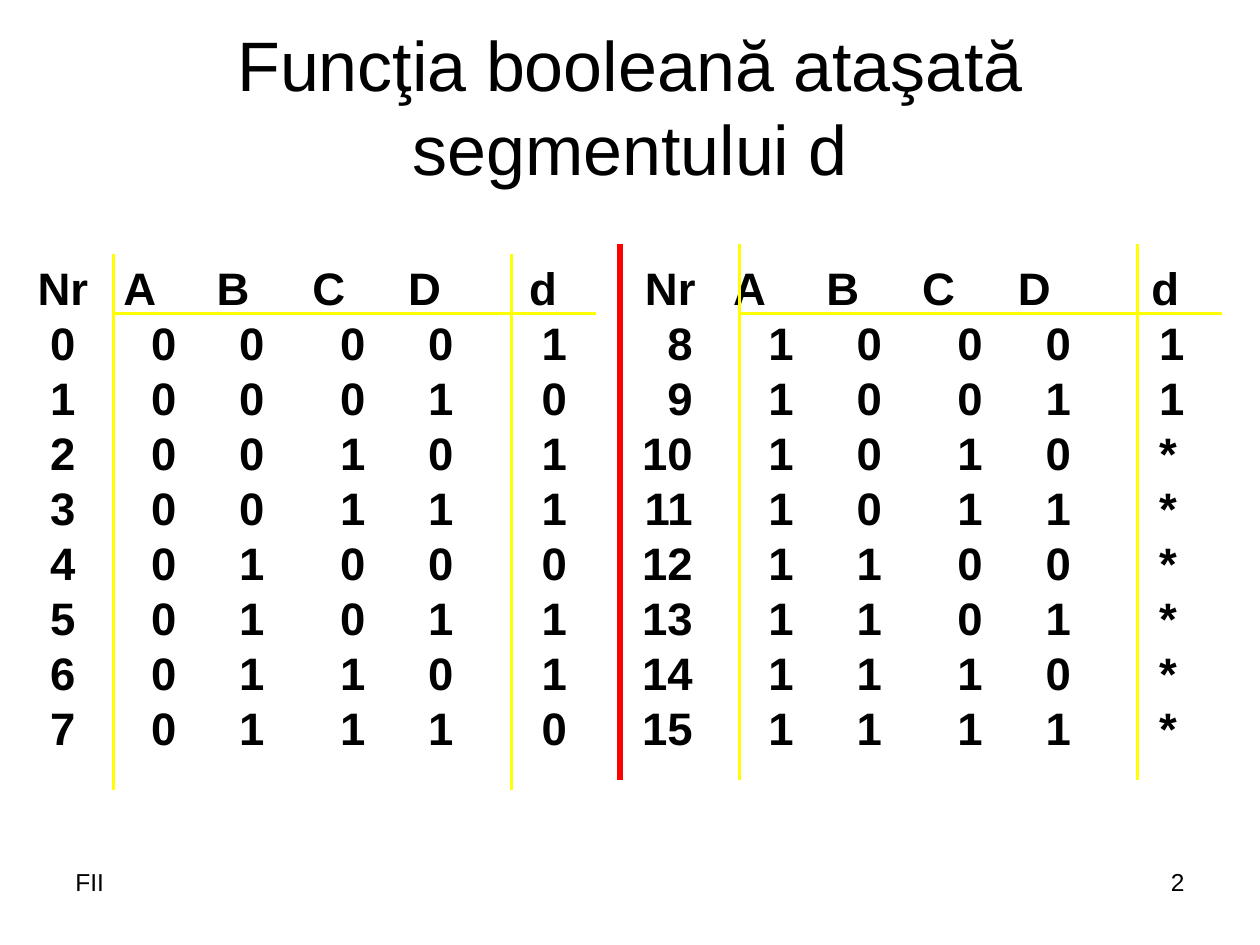
from dataclasses import dataclass

from lxml.etree import SubElement
from pptx import Presentation
from pptx.dml.color import RGBColor as RGB
from pptx.enum.shapes import MSO_CONNECTOR as CONN
from pptx.enum.text import MSO_ANCHOR as ANCHOR, PP_ALIGN as ALIGN
from pptx.oxml.ns import qn
from pptx.util import Inches, Pt


@dataclass(frozen=True)
class Theme:
    """Colours, font and type sizes of the slide."""
    font: str = "Arial"
    ink: RGB = RGB(0, 0, 0)
    rule: RGB = RGB(255, 255, 0)
    divider: RGB = RGB(255, 0, 0)
    title: int = 40
    body: int = 26
    footer: int = 14


THEME = Theme()
OUTPUTS = "1011011011******"
HALF = len(OUTPUTS) // 2
HEAD_STOPS = [(x, "l") for x in (0.68, 1.42, 2.18, 2.94, 3.9, 4.82, 5.52, 6.26, 7.02, 7.78, 8.84)]
BIT_STOPS = (0.9, 1.6, 2.4, 3.1, 4.0)
ROW_STOPS = ([(0.1, "l")] + [(x, "l") for x in BIT_STOPS]
             + [(5.2, "r")] + [(x + 4.9, "l") for x in BIT_STOPS])


def set_tabs(p, stops):
    """Give a paragraph tab stops from (inches, alignment) pairs."""
    tabs = SubElement(p._p.get_or_add_pPr(), qn("a:tabLst"))
    for x, algn in stops:
        SubElement(tabs, qn("a:tab"), pos=str(Inches(x)), algn=algn)


def add_text(s, box, lines, size, bold=False, align=ALIGN.LEFT, anchor=ANCHOR.TOP,
             spacing=None, before=None, stops=()):
    """Add a text box with one paragraph per line."""
    tf = s.shapes.add_textbox(*map(Inches, box)).text_frame
    tf.word_wrap, tf.vertical_anchor = True, anchor
    for i, line in enumerate(lines):
        p = tf.add_paragraph() if i else tf.paragraphs[0]
        p.alignment = align
        if spacing:
            p.line_spacing, p.space_before = spacing, Pt(before)
        if stops:
            set_tabs(p, stops[i])
        r = p.add_run()
        r.text = line
        r.font.name, r.font.size, r.font.bold = THEME.font, Pt(size), bold
        r.font.color.rgb = THEME.ink


def add_line(s, start, end, color=THEME.rule, width=1.5):
    """Add a straight line without shadow."""
    c = s.shapes.add_connector(CONN.STRAIGHT, *map(Inches, (*start, *end)))
    c.line.color.rgb, c.line.width = color, Pt(width)
    SubElement(c._element.spPr, qn("a:effectLst"))


def cells(n):
    """Return the number, its four bits and its output."""
    return [str(n), *format(n, "04b"), OUTPUTS[n]]


def add_truth_table(s):
    """Add both halves of the truth table as tabbed text."""
    head = "\t".join(["Nr", *"ABCD", "d"] * 2)
    rows = ["\t" + "\t".join(cells(n) + cells(n + HALF)) for n in range(HALF)]
    add_text(s, (0.2, 2.1, 9.61, 4.41), [head, *rows], THEME.body, bold=True,
             spacing=0.8, before=6.5, stops=[HEAD_STOPS] + [ROW_STOPS] * HALF)


def add_rules(s):
    """Add the divider and the rules of both halves."""
    height = 4.25
    add_line(s, (4.92, 1.94), (4.92, 1.94 + height), THEME.divider, 3)
    for left, top in ((0.9, 2.02), (5.87, 1.94)):
        add_line(s, (left, 2.49), (left + 3.83, 2.49))
        for x in (left, left + 3.16):
            add_line(s, (x, top), (x, top + height))


def main():
    """Build and save the slide."""
    prs = Presentation()
    prs.slide_width, prs.slide_height = Inches(10), Inches(7.5)
    s = prs.slides.add_slide(prs.slide_layouts[6])
    add_text(s, (0.5, 0.3, 9, 1.08), ["Funcţia booleană ataşată segmentului d"],
             THEME.title, align=ALIGN.CENTER, anchor=ANCHOR.MIDDLE)
    add_truth_table(s)
    add_rules(s)
    add_text(s, (7.17, 6.83, 2.33, 0.52), ["2"], THEME.footer, align=ALIGN.RIGHT)
    add_text(s, (0.5, 6.83, 2.33, 0.52), ["FII"], THEME.footer)
    prs.save("out.pptx")


if __name__ == "__main__":
    main()
